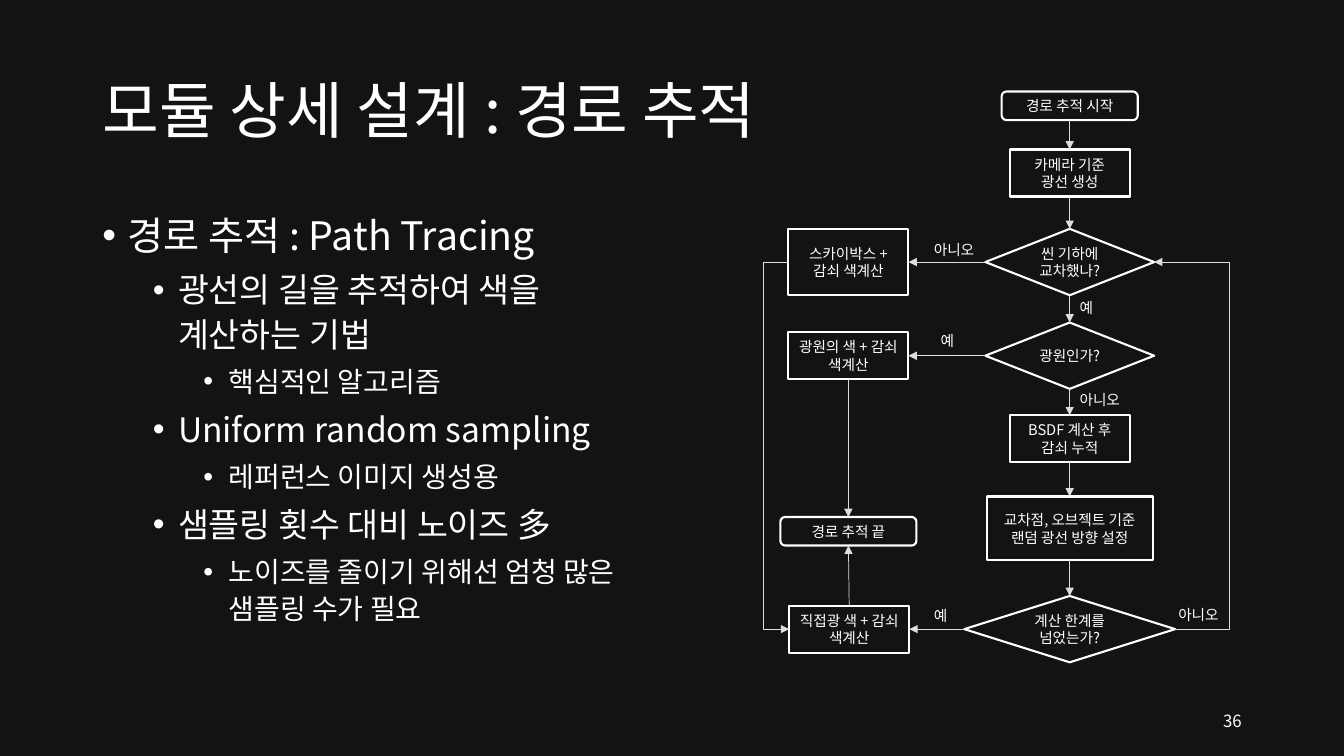
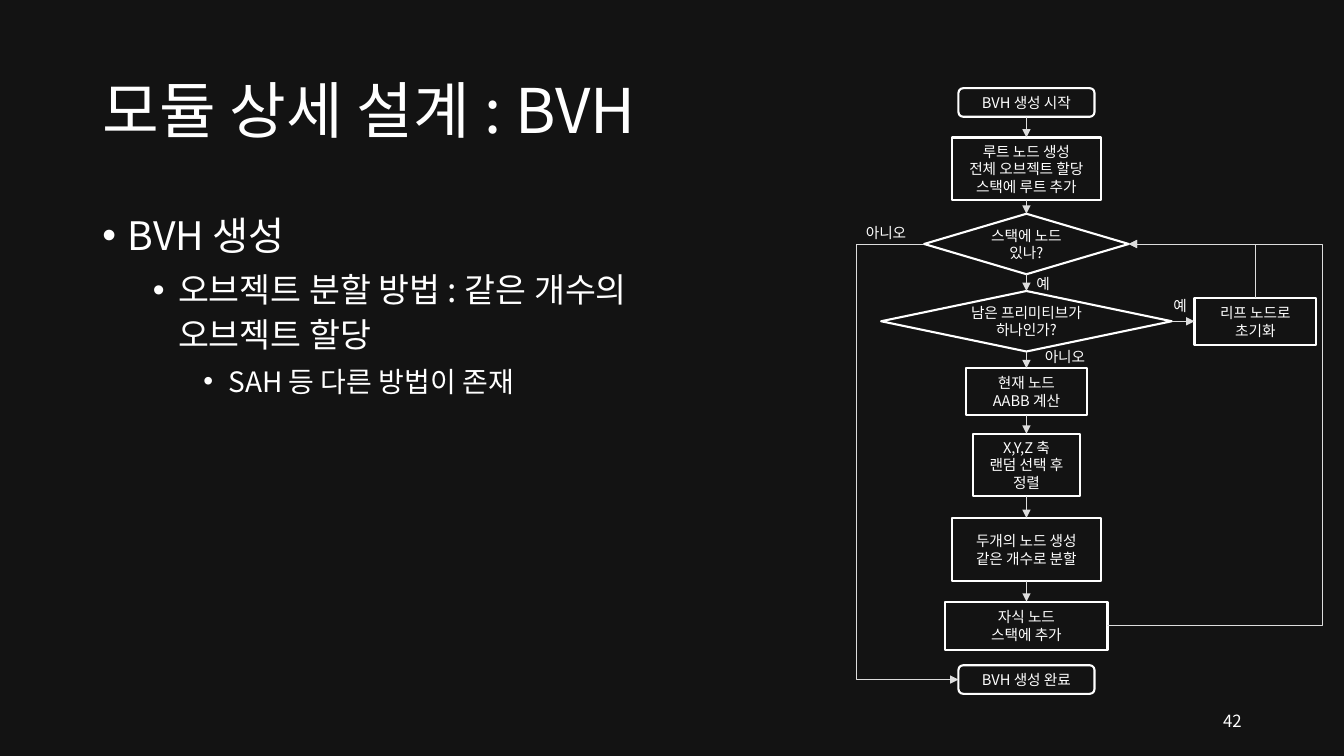
from dataclasses import dataclass
from lxml.etree import SubElement
from pptx import Presentation
from pptx.dml.color import RGBColor
from pptx.enum.shapes import MSO_CONNECTOR, MSO_SHAPE
from pptx.enum.text import MSO_ANCHOR, MSO_AUTO_SIZE, PP_ALIGN
from pptx.oxml.ns import qn
from pptx.util import Inches, Pt

TOP, LEFT, LOW, RIGHT = range(4)


@dataclass(frozen=True)
class Theme:
    """Colours, font, type sizes and line widths."""
    back: RGBColor = RGBColor(0x13, 0x13, 0x13)
    ink: RGBColor = RGBColor(0xFF, 0xFF, 0xFF)
    wire: RGBColor = RGBColor(0xDD, 0xDD, 0xDD)
    font: str = "Noto Sans CJK KR"
    title: float = 44
    levels: tuple = (28, 24, 20)
    small: float = 10.5
    page: float = 12
    edge: float = 1.5
    thin: float = 0.5


def grid(n):
    """Turn grid cells, twelve to the inch, into a length."""
    return Inches(n / 12)


class Deck:
    """Draw flow charts and lists on a grid of 160 columns and 90 rows."""

    def __init__(self, theme):
        """Open a wide dark deck."""
        self.theme = theme
        self.prs = Presentation()
        self.prs.slide_width, self.prs.slide_height = grid(160), grid(90)
        fill = self.prs.slide_master.background.fill
        fill.solid()
        fill.fore_color.rgb = theme.back

    def put(self, shape, x, y, w, h):
        """Move a placeholder onto the grid."""
        shape.left, shape.top, shape.width, shape.height = map(grid, (x, y, w, h))
        frame = shape.text_frame
        frame.auto_size = MSO_AUTO_SIZE.NONE
        frame.word_wrap = True
        return frame

    def say(self, para, text, size, align=PP_ALIGN.LEFT):
        """Add one styled run to a paragraph."""
        para.alignment = align
        run = para.add_run()
        run.text = text
        run.font.size = Pt(size)
        run.font.color.rgb = self.theme.ink
        run.font.name = self.theme.font
        props = run._r.get_or_add_rPr()
        SubElement(props, qn("a:ea")).set("typeface", self.theme.font)

    def page(self, title, number):
        """Start a slide with its title and page number."""
        self.slide = self.prs.slides.add_slide(self.prs.slide_layouts[1])
        frame = self.put(self.slide.shapes.title, 11, 4.8, 138, 17.4)
        frame.vertical_anchor = MSO_ANCHOR.MIDDLE
        frame.paragraphs[0].line_spacing = 0.9
        self.say(frame.paragraphs[0], title, self.theme.title)
        box = self.slide.shapes.add_textbox(*map(grid, (113, 83.4, 36, 4.8)))
        box.text_frame.vertical_anchor = MSO_ANCHOR.MIDDLE
        box.text_frame.word_wrap = True
        self.say(box.text_frame.paragraphs[0], number, self.theme.page, PP_ALIGN.RIGHT)

    def points(self, wide, *items):
        """Fill the body with bullets given as level and text."""
        frame = self.put(self.slide.placeholders[1], 11, 24, wide, 57.1)
        frame.vertical_anchor = MSO_ANCHOR.TOP
        for i, (level, text) in enumerate(items):
            para = frame.add_paragraph() if i else frame.paragraphs[0]
            para.level = level
            props = para._p.get_or_add_pPr()
            props.set("marL", str(grid(3 + 6 * level)))
            props.set("indent", str(-grid(3)))
            SubElement(props, qn("a:buFont")).set("typeface", "Arial")
            SubElement(props, qn("a:buChar")).set("char", "•")
            para.line_spacing = 1.1
            para.space_before = Pt(5 if i else 0)
            self.say(para, text, self.theme.levels[level])

    def node(self, kind, x, y, w, h, text):
        """Draw an outlined shape centred on a grid point."""
        spot = map(grid, (x - w / 2, y - h / 2, w, h))
        shape = self.slide.shapes.add_shape(kind, *spot)
        shape.shadow.inherit = False
        shape.fill.background()
        shape.line.color.rgb = self.theme.ink
        shape.line.width = Pt(self.theme.edge)
        frame = shape.text_frame
        frame.word_wrap = True
        frame.vertical_anchor = MSO_ANCHOR.MIDDLE
        for i, line in enumerate(text.split("\n")):
            para = frame.add_paragraph() if i else frame.paragraphs[0]
            self.say(para, line, self.theme.small, PP_ALIGN.CENTER)
        return shape

    def step(self, x, y, text, w=14.3, h=5.6):
        """Draw a process box."""
        return self.node(MSO_SHAPE.RECTANGLE, x, y, w, h, text)

    def cap(self, x, y, text):
        """Draw a start or end box."""
        return self.node(MSO_SHAPE.FLOWCHART_ALTERNATE_PROCESS, x, y, 16.2, 3.4, text)

    def ask(self, x, y, w, h, text):
        """Draw a decision diamond."""
        shape = self.node(MSO_SHAPE.FLOWCHART_DECISION, x, y, w, h, text)
        shape.text_frame.margin_left = shape.text_frame.margin_right = grid(0.3)
        return shape

    def label(self, x, y, text):
        """Add a branch label."""
        box = self.slide.shapes.add_textbox(*map(grid, (x, y, 8, 3.4)))
        box.text_frame.word_wrap = True
        self.say(box.text_frame.paragraphs[0], text, self.theme.small)

    def wire(self, kind, start, stop, tip):
        """Draw a thin connector with one arrowhead."""
        line = self.slide.shapes.add_connector(kind, *start, *stop)
        line.line.color.rgb = self.theme.wire
        line.line.width = Pt(self.theme.thin)
        props = line._element.spPr
        SubElement(props.find(qn("a:ln")), qn(tip)).set("type", "triangle")
        SubElement(props, qn("a:effectLst"))
        return line

    def side(self, shape, site):
        """Find the middle of one side of a shape."""
        across, down = ((1, 0), (0, 1), (1, 2), (2, 1))[site]
        return (shape.left + shape.width * across // 2,
                shape.top + shape.height * down // 2)

    def link(self, a, out, b, into):
        """Join two shapes with a straight arrow."""
        line = self.wire(MSO_CONNECTOR.STRAIGHT, self.side(a, out),
                         self.side(b, into), "a:tailEnd")
        line.begin_connect(a, out)
        line.end_connect(b, into)

    def chain(self, *nodes):
        """Link nodes downwards, each to the next."""
        for a, b in zip(nodes, nodes[1:]):
            self.link(a, LOW, b, TOP)

    def bend(self, a, out, b, into, via=None, tip="a:tailEnd"):
        """Run an elbow through a column, or straight to the end's column."""
        start, stop = self.side(a, out), self.side(b, into)
        line = self.wire(MSO_CONNECTOR.ELBOW, start, stop, tip)
        turn = stop[0] if via is None else grid(via)
        share = round((turn - start[0]) / (stop[0] - start[0]) * 100000)
        guides = line._element.spPr.find(qn("a:prstGeom")).find(qn("a:avLst"))
        guide = SubElement(guides, qn("a:gd"))
        guide.set("name", "adj1")
        guide.set("fmla", f"val {share}")


def trace(deck):
    """Build the path tracing slide."""
    deck.page("모듈 상세 설계 : 경로 추적", "36")
    deck.points(69,
                (0, "경로 추적 : Path Tracing"),
                (1, "광선의 길을 추적하여 색을 계산하는 기법"),
                (2, "핵심적인 알고리즘"),
                (1, "Uniform random sampling"),
                (2, "레퍼런스 이미지 생성용"),
                (1, "샘플링 횟수 대비 노이즈 多"),
                (2, "노이즈를 줄이기 위해선 엄청 많은 샘플링 수가 필요"))
    mid, west = 127.35, 101
    start = deck.cap(mid, 12.6, "경로 추적 시작")
    ray = deck.step(mid, 20.6, "카메라 기준\n광선 생성")
    hit = deck.ask(mid, 31.2, 20.1, 7.9, "씬 기하에 교차했나?")
    lit = deck.ask(mid, 42.35, 20.1, 7.9, "광원인가?")
    fade = deck.step(mid, 52.25, "BSDF 계산 후\n감쇠 누적")
    aim = deck.step(mid, 62.9, "교차점, 오브젝트 기준\n랜덤 광선 방향 설정", 19.8, 7.6)
    cut = deck.ask(mid, 74.9, 25.1, 7.9, "계산 한계를 넘었는가?")
    sky = deck.step(west, 31.2, "스카이박스 + 감쇠 색계산", h=7.9)
    lamp = deck.step(west, 42.35, "광원의 색 + 감쇠 색계산")
    end = deck.cap(west, 63.25, "경로 추적 끝")
    sun = deck.step(west + 0.1, 74.9, "직접광 색 + 감쇠 색계산")
    deck.chain(start, ray, hit, lit, fade, aim, cut)
    for a, b in ((hit, sky), (lit, lamp), (cut, sun)):
        deck.link(a, LEFT, b, RIGHT)
    deck.link(lamp, LOW, end, TOP)
    deck.link(sun, TOP, end, LOW)
    deck.bend(cut, RIGHT, hit, RIGHT, 146.4)
    deck.bend(sky, LEFT, sun, LEFT, 90.9)
    for x, y in ((127.35, 35), (110.8, 38.9), (110, 71.65)):
        deck.label(x, y, "예")
    for x, y in ((127.35, 45.95), (110, 28.1), (139.1, 71.55)):
        deck.label(x, y, "아니오")


def tree(deck):
    """Build the BVH slide."""
    deck.page("모듈 상세 설계 : BVH", "42")
    deck.points(71,
                (0, "BVH 생성"),
                (1, "오브젝트 분할 방법 : 같은 개수의 오브젝트 할당"),
                (2, "SAH 등 다른 방법이 존재"))
    mid = 122.2
    start = deck.cap(mid, 12.2, "BVH 생성 시작")
    root = deck.step(mid, 20.1, "루트 노드 생성\n전체 오브젝트 할당\n스택에 루트 추가", 17.7, 7.45)
    stack = deck.ask(mid, 29.05, 24.35, 7.2, "스택에 노드 있나?")
    one = deck.ask(mid, 38.25, 34.6, 7.2, "남은 프리미티브가 하나인가?")
    bound = deck.step(mid, 46.65, "현재 노드\nAABB 계산", 14.5)
    sort = deck.step(mid, 55.35, "X,Y,Z 축\n랜덤 선택 후\n정렬", 12.8, 7.45)
    split = deck.step(mid, 65.4, "두개의 노드 생성\n같은 개수로 분할", 17.7, 7.45)
    push = deck.step(mid, 74.5, "자식 노드\n스택에 추가", 19.3, 5.75)
    done = deck.cap(mid, 80.9, "BVH 생성 완료")
    leaf = deck.step(149.45, 38.25, "리프 노드로\n초기화", 14.5)
    deck.chain(start, root, stack, one, bound, sort, split, push)
    deck.link(one, RIGHT, leaf, LEFT)
    deck.bend(stack, LEFT, done, LEFT, 102)
    deck.bend(push, RIGHT, stack, RIGHT, 157.45)
    deck.bend(stack, RIGHT, leaf, TOP, tip="a:headEnd")
    for x, y in ((122.2, 32.15), (138.5, 34.7)):
        deck.label(x, y, "예")
    for x, y in ((101.9, 26.1), (123.2, 40.85)):
        deck.label(x, y, "아니오")


def main():
    """Build and save both slides."""
    deck = Deck(Theme())
    trace(deck)
    tree(deck)
    deck.prs.save("out.pptx")


if __name__ == "__main__":
    main()
